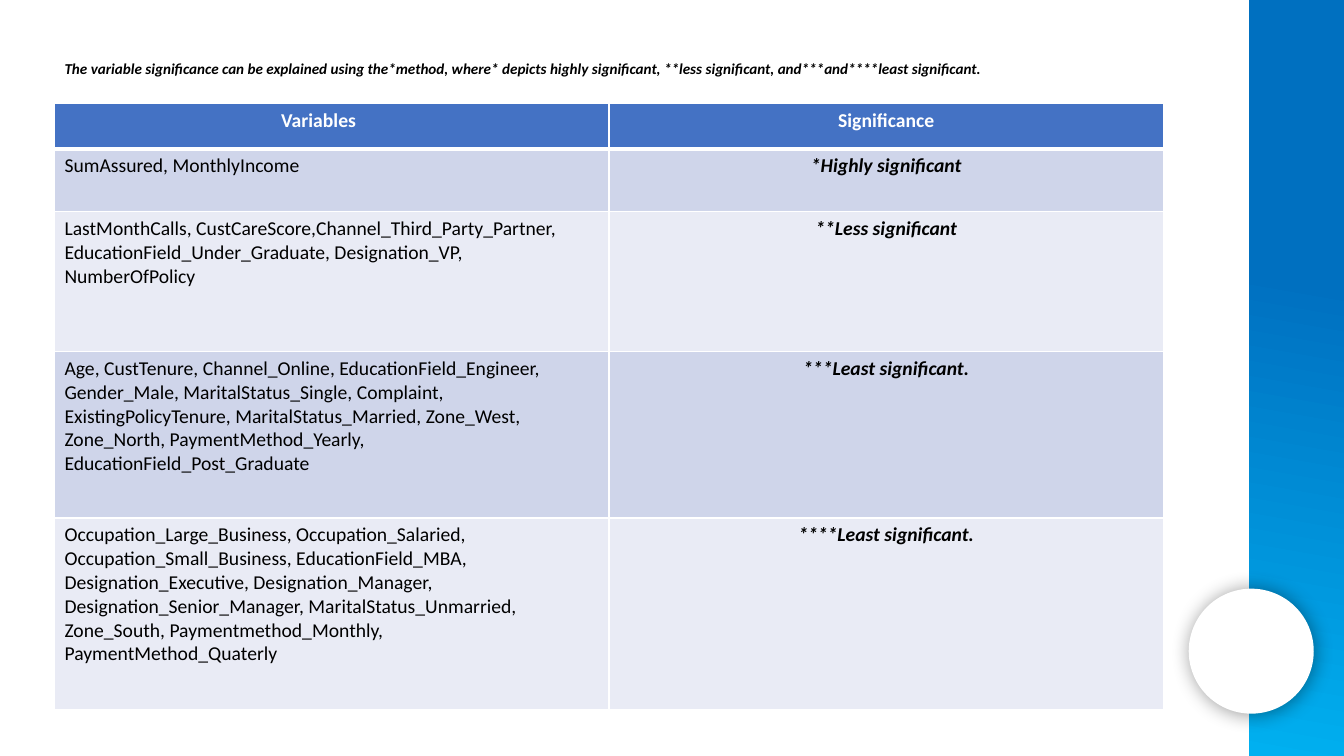
from lxml.etree import SubElement
from pptx import Presentation
from pptx.dml.color import RGBColor
from pptx.enum.shapes import MSO_SHAPE
from pptx.enum.text import MSO_ANCHOR, PP_ALIGN
from pptx.oxml import parse_xml
from pptx.oxml.ns import nsdecls, qn
from pptx.util import Inches, Pt


def rgb(value):
    return RGBColor.from_string(value)


def style(p, size, color, bold, italic, align):
    p.alignment = align
    p.font.name = "Calibri"
    p.font.size = Pt(size)
    p.font.color.rgb = rgb(color)
    p.font.bold = bold
    p.font.italic = italic


prs = Presentation()
prs.slide_width, prs.slide_height = Inches(13.33), Inches(7.5)
s = prs.slides.add_slide(prs.slide_layouts[5])

band = s.shapes.add_shape(MSO_SHAPE.RECTANGLE, Inches(12.39), 0, Inches(0.94), Inches(7.5))
band.shadow.inherit = False
band.line.fill.background()
band.fill.gradient()
band.fill.gradient_angle = 260
for stop, (position, color) in zip(band.fill.gradient_stops, [(0.37, "0070C0"), (1, "00B0F0")]):
    stop.position = position
    stop.color.rgb = rgb(color)

circle = s.shapes.add_shape(MSO_SHAPE.OVAL, Inches(11.79), Inches(5.84), Inches(1.24), Inches(1.24))
circle.shadow.inherit = False
circle.fill.solid()
circle.fill.fore_color.rgb = rgb("FFFFFF")
circle.line.fill.background()
effects = circle._element.spPr.find(qn("a:effectLst"))
shadow = SubElement(effects, qn("a:outerShdw"), blurRad=str(Pt(14)), dist=str(Pt(1)),
                    dir=str(43 * 60000), algn="ctr", rotWithShape="0")
shade = SubElement(shadow, qn("a:srgbClr"), val="000000")
SubElement(shade, qn("a:alpha"), val="40000")

title = s.shapes.title
title.left, title.top, title.width, title.height = Inches(0.54), Inches(0.46), Inches(11.15), Inches(0.74)
tf = title.text_frame
tf.text = ("The variable significance can be explained using the*method, where* depicts highly "
           "significant, **less significant, and***and****least significant.")
tf.word_wrap = True
tf.vertical_anchor = MSO_ANCHOR.TOP
tf.margin_top = Inches(0.13)
style(tf.paragraphs[0], 10.8, "000000", True, True, PP_ALIGN.LEFT)

rows = [
    (0.45, "Variables", "Significance"),
    (0.62, "SumAssured, MonthlyIncome", "*Highly significant"),
    (1.39, "LastMonthCalls, CustCareScore,Channel_Third_Party_Partner, "
           "EducationField_Under_Graduate, Designation_VP,\nNumberOfPolicy", "**Less significant"),
    (1.65, "Age, CustTenure, Channel_Online, EducationField_Engineer, Gender_Male, "
           "MaritalStatus_Single, Complaint, ExistingPolicyTenure, MaritalStatus_Married, "
           "Zone_West, Zone_North, PaymentMethod_Yearly, EducationField_Post_Graduate",
     "***Least significant."),
    (1.9, "Occupation_Large_Business, Occupation_Salaried, Occupation_Small_Business, "
          "EducationField_MBA, Designation_Executive, Designation_Manager, "
          "Designation_Senior_Manager, MaritalStatus_Unmarried, Zone_South, "
          "Paymentmethod_Monthly, PaymentMethod_Quaterly", "****Least significant."),
]
table = s.shapes.add_table(len(rows), 2, Inches(0.54), Inches(1.03), Inches(11), Inches(6.01)).table
for i, (height, *texts) in enumerate(rows):
    table.rows[i].height = Inches(height)
    header = i == 0
    fill = "4472C4" if header else ("E9EBF5", "CFD5EA")[i % 2]
    for j, text in enumerate(texts):
        cell = table.cell(i, j)
        cell.text = text
        for side in ("lnL", "lnR", "lnT", "lnB"):
            thick = (i, side) in [(0, "lnB"), (1, "lnT")]
            cell._tc.get_or_add_tcPr().append(parse_xml(
                f'<a:{side} {nsdecls("a")} w="{Pt(3 if thick else 1)}"><a:solidFill>'
                f'<a:srgbClr val="FFFFFF"/></a:solidFill></a:{side}>'))
        cell.fill.solid()
        cell.fill.fore_color.rgb = rgb(fill)
        for p in cell.text_frame.paragraphs:
            style(p, 14, "FFFFFF" if header else "000000", header or j == 1, not header and j == 1,
                  PP_ALIGN.CENTER if header or j == 1 else PP_ALIGN.LEFT)
table.cell(0, 0).margin_right = Inches(0.36)

prs.save("out.pptx")
